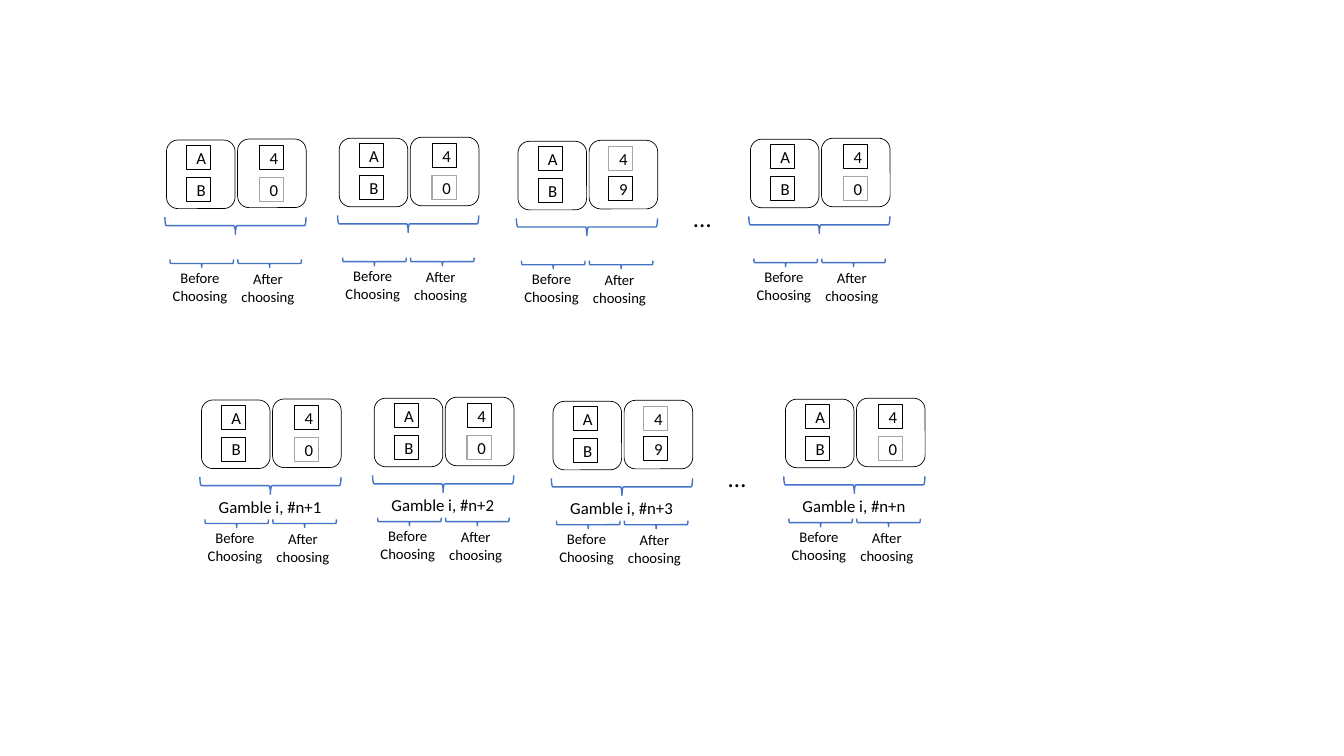
from dataclasses import dataclass

from pptx import Presentation
from pptx.dml.color import RGBColor
from pptx.enum.shapes import MSO_SHAPE
from pptx.enum.text import MSO_ANCHOR, PP_ALIGN
from pptx.util import Pt

ROUNDED = MSO_SHAPE.ROUNDED_RECTANGLE
RECTANGLE = MSO_SHAPE.RECTANGLE
BRACE = MSO_SHAPE.LEFT_BRACE
CENTER = PP_ALIGN.CENTER
MIDDLE = MSO_ANCHOR.MIDDLE


@dataclass(frozen=True)
class Theme:
    font: str = "Calibri"
    black: RGBColor = RGBColor(0x00, 0x00, 0x00)
    white: RGBColor = RGBColor(0xFF, 0xFF, 0xFF)
    gray: RGBColor = RGBColor(0xA5, 0xA5, 0xA5)
    blue: RGBColor = RGBColor(0x44, 0x72, 0xC4)
    label_size: float = 10.5
    value_size: float = 12
    ellipsis_size: float = 18


THEME = Theme()

CARD_SIZE = 49
CARD_STEP = 50.8
TILE_SIZE = 17.2
PHASE_STEP = 48.5


@dataclass(frozen=True)
class Trial:
    """One gamble; left and top are measured from the corner of its row."""
    left: float
    top: float
    number: str
    outcomes: tuple = ("4", "0")
    chosen: int = 0
    outcome_left: float = 66.4
    outcome_tops: tuple = (4, 26.8)


TRIALS = (
    Trial(0, 0, "1"),
    Trial(123.4, -1.3, "2"),
    Trial(251.1, 0.9, "3", ("4", "9"), 1, 64.8, (3.8, 25.4)),
    Trial(417.1, -0.6, "n"),
)


def write_text(shape, text, size):
    text_frame = shape.text_frame
    text_frame.text = text
    paragraph = text_frame.paragraphs[0]
    paragraph.alignment = CENTER
    font = paragraph.runs[0].font
    font.name = THEME.font
    font.size = Pt(size)
    font.color.rgb = THEME.black


def add_outlined(shapes, kind, box, line_color, line_width, fill=None):
    shape = shapes.add_shape(kind, *(Pt(length) for length in box))
    shape.shadow.inherit = False
    if fill is None:
        shape.fill.background()
    else:
        shape.fill.solid()
        shape.fill.fore_color.rgb = fill
    shape.line.color.rgb = line_color
    shape.line.width = Pt(line_width)
    return shape


def add_label(shapes, box, text, size):
    label = shapes.add_textbox(*(Pt(length) for length in box))
    label.text_frame.word_wrap = True
    write_text(label, text, size)


def add_tile(shapes, left, top, text, chosen=True):
    box = (left, top, TILE_SIZE, TILE_SIZE)
    if chosen:
        tile = add_outlined(shapes, RECTANGLE, box, THEME.black, 0.75)
    else:
        tile = add_outlined(shapes, RECTANGLE, box, THEME.gray, 1, THEME.white)
    text_frame = tile.text_frame
    text_frame.word_wrap = False
    text_frame.vertical_anchor = MIDDLE
    text_frame.margin_left = Pt(3.6)
    text_frame.margin_right = text_frame.margin_top = text_frame.margin_bottom = 0
    write_text(tile, text, THEME.value_size)


def add_brace(shapes, center_x, center_y, span, depth):
    """Add a horizontal brace that points down."""
    box = (center_x - depth / 2, center_y - span / 2, depth, span)
    add_outlined(shapes, BRACE, box, THEME.blue, 1).rotation = 270


def add_cards(shapes, left, top, trial):
    for card in range(2):
        box = (left + card * CARD_STEP, top - card * 0.7, CARD_SIZE, CARD_SIZE)
        add_outlined(shapes, ROUNDED, box, THEME.black, 0.5, THEME.white)
    for option, option_top in zip("AB", (3.8, 26.6)):
        add_tile(shapes, left + 14.4, top + option_top, option)
    for index, outcome in enumerate(trial.outcomes):
        add_tile(shapes, left + trial.outcome_left, top + trial.outcome_tops[index],
                 outcome, index == trial.chosen)


def add_phases(shapes, left, top):
    for index, phase in enumerate(("Before Choosing", "After choosing")):
        center_x = left + index * PHASE_STEP + 25.2
        add_brace(shapes, center_x, top + 88.2, 45.4, 5.8)
        box = (center_x - 34, top + 88.6 + index * 0.7, 65.5, 33)
        add_label(shapes, box, phase, THEME.label_size)


def add_trial_row(slide, left, top, captioned):
    shapes = slide.shapes.add_group_shape().shapes
    for trial in TRIALS:
        trial_left, trial_top = left + trial.left, top + trial.top
        add_cards(shapes, trial_left, trial_top, trial)
        add_brace(shapes, trial_left + 49.3, trial_top + 61.2, 100.8, 12.2)
        if captioned:
            box = (trial_left - 17.2, trial_top + 65.4, 132.5, 21.6)
            add_label(shapes, box, f"Gamble i, #n+{trial.number}", THEME.value_size)
        add_phases(shapes, trial_left, trial_top)
    add_label(shapes, (left + 360, top + 41, 45.4, 28.8), "…", THEME.ellipsis_size)


def main():
    presentation = Presentation()
    presentation.slide_width = Pt(960)
    presentation.slide_height = Pt(540)
    slide = presentation.slides.add_slide(presentation.slide_layouts[6])
    add_trial_row(slide, 118.9, 100, captioned=False)
    add_trial_row(slide, 143.9, 285.7, captioned=True)
    presentation.save("out.pptx")


if __name__ == "__main__":
    main()
